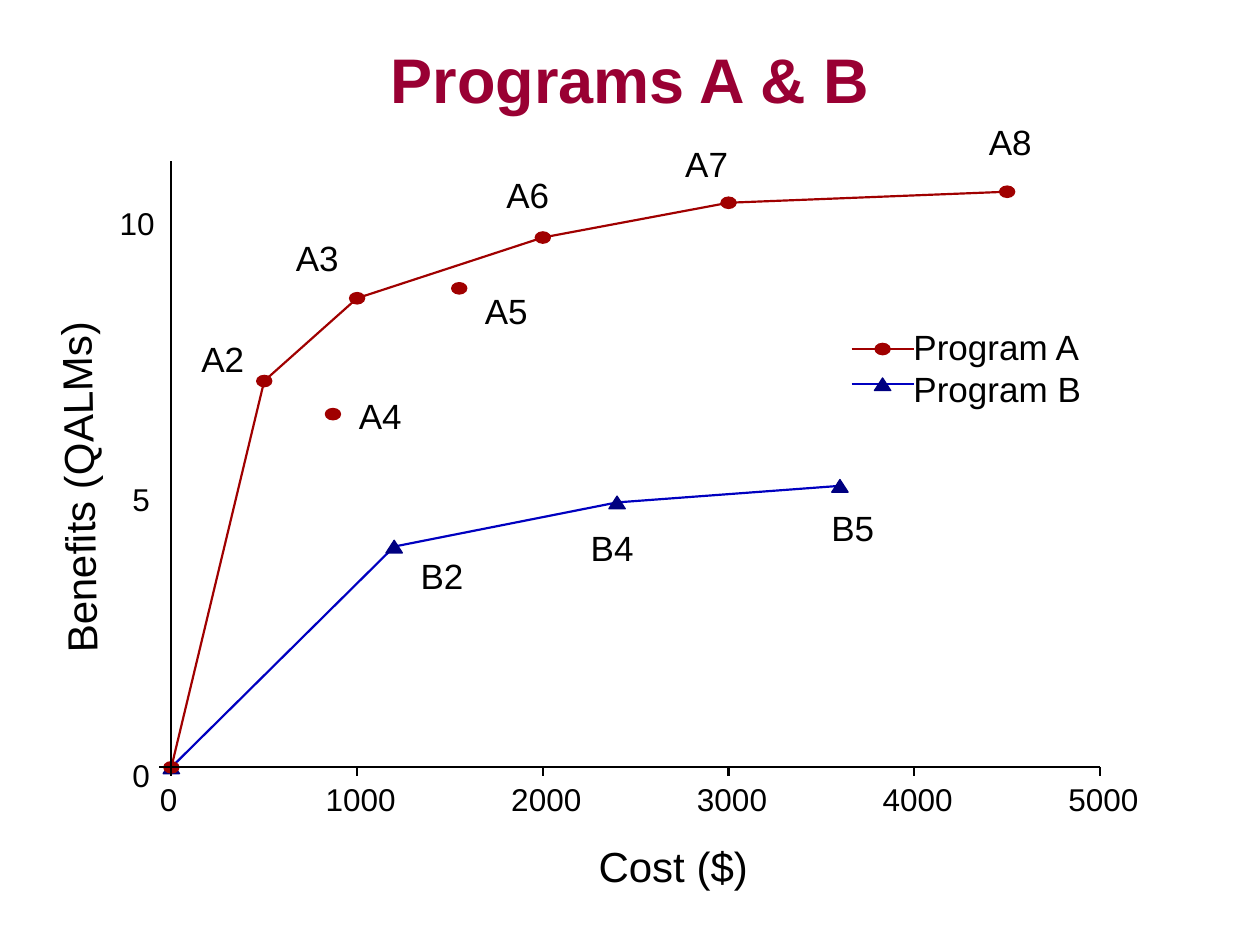
from itertools import pairwise

from lxml import etree
from pptx import Presentation
from pptx.dml.color import RGBColor
from pptx.enum.shapes import MSO_CONNECTOR, MSO_SHAPE
from pptx.enum.text import MSO_ANCHOR, MSO_AUTO_SIZE, PP_ALIGN
from pptx.oxml.ns import qn
from pptx.util import Inches, Pt

STRAIGHT = MSO_CONNECTOR.STRAIGHT
OVAL, TRIANGLE = MSO_SHAPE.OVAL, MSO_SHAPE.ISOSCELES_TRIANGLE
LEFT, CENTER = PP_ALIGN.LEFT, PP_ALIGN.CENTER
MIDDLE = MSO_ANCHOR.MIDDLE
GROW, FIXED = MSO_AUTO_SIZE.SHAPE_TO_FIT_TEXT, MSO_AUTO_SIZE.NONE

BLACK = RGBColor(0x00, 0x00, 0x00)
CRIMSON = RGBColor(0x99, 0x00, 0x33)
RED = RGBColor(0xA0, 0x00, 0x00)
BLUE = RGBColor(0x00, 0x00, 0xC0)
NAVY = RGBColor(0x00, 0x00, 0x80)

TITLE = "Programs A & B"
PROGRAMS = [
    {"name": "Program B", "line": BLUE, "marker": NAVY, "shape": TRIANGLE,
     "size": (0.13, 0.1), "key_top": 3.05, "name_top": 2.92,
     "frontier": [(0, 0), (1200, 4), (2400, 4.8), (3600, 5.1)], "dominated": []},
    {"name": "Program A", "line": RED, "marker": RED, "shape": OVAL,
     "size": (0.12, 0.09), "key_top": 2.77, "name_top": 2.58,
     "frontier": [(0, 0), (500, 7), (1000, 8.5), (2000, 9.6), (3000, 10.23), (4500, 10.43)],
     "dominated": [(870, 6.4), (1550, 8.68)]},
]
POINT_LABELS = [
    ("B2", 3.24, 4.35), ("B4", 4.59, 4.13), ("B5", 6.5, 3.97),
    ("A2", 1.5, 2.63), ("A4", 2.75, 3.08), ("A3", 2.25, 1.83), ("A5", 3.75, 2.25),
    ("A6", 3.92, 1.33), ("A7", 5.34, 1.08), ("A8", 7.75, 0.91),
]
COST_TICKS = range(0, 5001, 1000)
BENEFIT_TICKS = [(0, 1.05), (5, 1.05), (10, 0.95)]

ORIGIN_X, ORIGIN_Y = 1.36, 6.09
AXIS_RIGHT, AXIS_TOP = 8.73, 1.28
COST_SCALE = (AXIS_RIGHT - ORIGIN_X) / COST_TICKS[-1]
BENEFIT_SCALE = 2.19 / 5
DIGIT_WIDTH = 0.14
KEY_LEFT, KEY_RIGHT = 6.76, 7.25

deck = Presentation()
deck.slide_width, deck.slide_height = Inches(10), Inches(7.5)
page = deck.slides.add_slide(deck.slide_layouts[5])


def apply(target, values):
    for name, value in values.items():
        setattr(target, name, value)


def place(cost, benefit):
    return ORIGIN_X + cost * COST_SCALE, ORIGIN_Y - benefit * BENEFIT_SCALE


def write(para, text, size, color, bold=False):
    span = para.add_run()
    span.text = text
    apply(span.font, {"name": "Arial", "size": Pt(size), "bold": bold})
    span.font.color.rgb = color


def add_line(start, end, color):
    line = page.shapes.add_connector(STRAIGHT, *map(Inches, (*start, *end)))
    line.line.color.rgb = color
    line.line.width = Pt(1.25)
    etree.SubElement(line._element.spPr, qn("a:effectLst"))


def add_marker(program, center):
    width, height = program["size"]
    left, top = center[0] - width / 2, center[1] - height / 2
    marker = page.shapes.add_shape(program["shape"], *map(Inches, (left, top, width, height)))
    marker.shadow.inherit = False
    marker.fill.solid()
    marker.fill.fore_color.rgb = program["marker"]
    marker.line.color.rgb = program["marker"]
    marker.line.width = Pt(0)


def add_text(text, left, top, width, height, size, inset=(0, 0), align=LEFT, turn=0, fit=GROW):
    box = page.shapes.add_textbox(*map(Inches, (left, top, width, height)))
    box.rotation = turn
    side, edge = map(Inches, inset)
    apply(box.text_frame, {
        "margin_left": side, "margin_right": side, "margin_top": edge, "margin_bottom": edge,
        "word_wrap": fit == FIXED, "auto_size": fit,
    })
    para = box.text_frame.paragraphs[0]
    para.alignment = align
    write(para, text, size, BLACK)


title = page.shapes.title
apply(title, {"left": Inches(0.5), "top": Inches(0.25), "width": Inches(9), "height": Inches(0.75)})
title.text_frame.vertical_anchor = MIDDLE
title_para = title.text_frame.paragraphs[0]
title_para.alignment = CENTER
write(title_para, TITLE, 36, CRIMSON, True)

for program in PROGRAMS:
    centers = [place(*point) for point in program["frontier"]]
    for start, end in pairwise(centers):
        add_line(start, end, program["line"])
    for center in centers + [place(*point) for point in program["dominated"]]:
        add_marker(program, center)
    key_top = program["key_top"]
    add_line((KEY_LEFT, key_top), (KEY_RIGHT, key_top), program["line"])
    add_marker(program, ((KEY_LEFT + KEY_RIGHT) / 2, key_top))
    add_text(program["name"], KEY_RIGHT, program["name_top"], 1.33, 0.33, 20)

origin = (ORIGIN_X, ORIGIN_Y)
for end in [(AXIS_RIGHT, ORIGIN_Y), (ORIGIN_X, AXIS_TOP), (ORIGIN_X - 0.1, ORIGIN_Y)]:
    add_line(origin, end, BLACK)
for cost in COST_TICKS:
    tick, _ = place(cost, 0)
    add_line((tick, ORIGIN_Y), (tick, ORIGIN_Y + 0.07), BLACK)
    shift = 0.25 if cost else 0.09
    add_text(str(cost), tick - shift, 6.19, DIGIT_WIDTH * len(str(cost)), 0.3, 18)
for benefit, left in BENEFIT_TICKS:
    _, level = place(0, benefit)
    add_text(str(benefit), left, level - 0.09, DIGIT_WIDTH * len(str(benefit)), 0.3, 18)

add_text("Cost ($)", 4.75, 6.67, 1.19, 0.4, 24)
add_text("Benefits (QALMs)", -0.8, 3.67, 2.83, 0.4, 24, align=CENTER, turn=268.8, fit=FIXED)
for label, left, top in POINT_LABELS:
    add_text(label, left, top, 0.54, 0.44, 20, inset=(0.1, 0.05))

deck.save("out.pptx")
